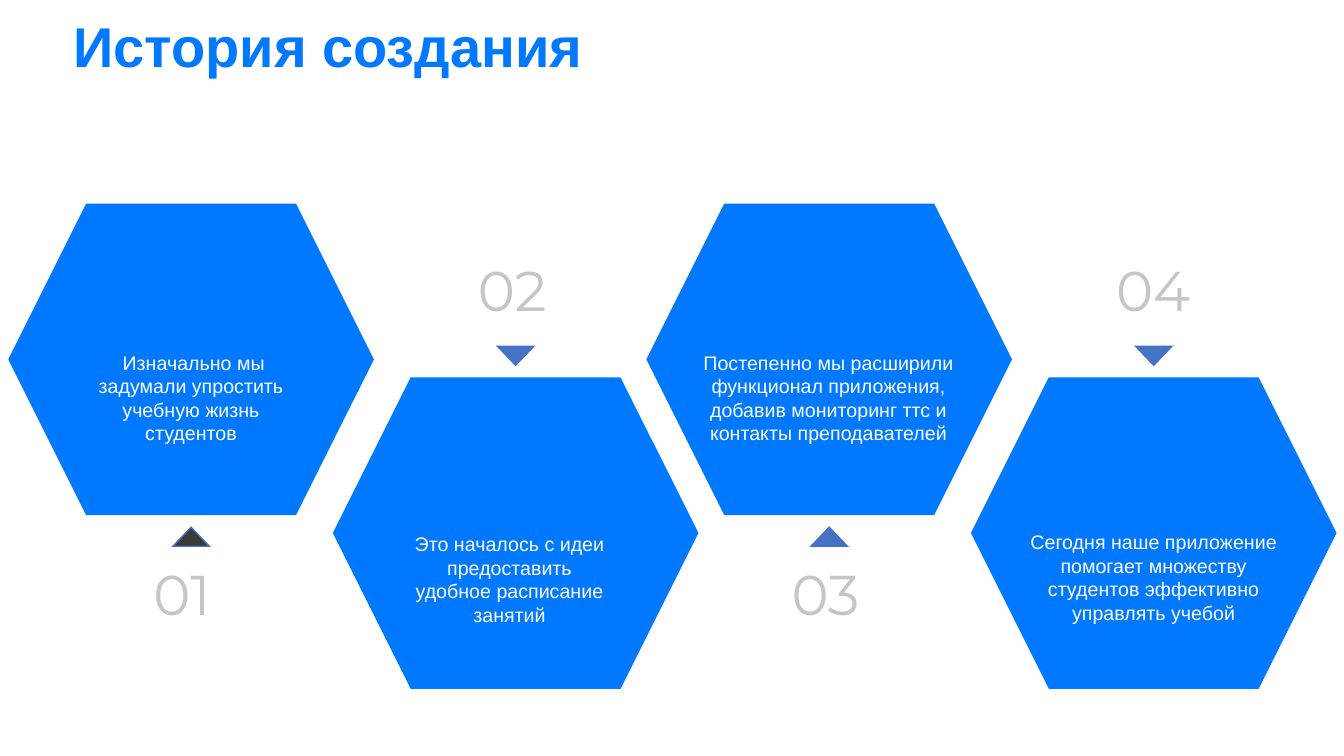
from lxml import etree
from pptx import Presentation
from pptx.dml.color import RGBColor
from pptx.enum.shapes import MSO_SHAPE
from pptx.enum.text import MSO_ANCHOR, PP_ALIGN
from pptx.oxml.ns import qn
from pptx.util import Pt

COLORS = {
    "blue": "0078FF",
    "accent": "4472C4",
    "dark": "3A3A3A",
    "number": "C5C5C5",
    "white": "FFFFFF",
}
HEX_W, HEX_H = 250, 212.5
UPPER_TOP, LOWER_TOP = 150.5, 274.5
FIRST_LEFT, PAIR_STEP, LOWER_SHIFT = 11.5, 455.8, 231.8
ARROW_W, ARROW_H, ARROW_GAP = 26, 13.6, 13.6
NUMBER_W, NUMBER_H, CAPTION_H = 78, 55.4, 75

STEPS = [
    ("01", " Изначально мы задумали упростить учебную жизнь студентов",
     (47.5, 96.5, 155), "dark"),
    ("02", "Это началось с идеи предоставить удобное расписание занятий",
     (41.8, 102, 157.7), "accent"),
    ("03", "Постепенно мы расширили функционал приложения, "
     "добавив мониторинг ттс и контакты преподавателей",
     (15.8, 96.5, 217.4), "accent"),
    ("04", "Сегодня наше приложение помогает множеству "
     "студентов эффективно управлять учебой",
     (17.3, 100.5, 215.3), "accent"),
]


def rgb(name):
    return RGBColor.from_string(COLORS[name])


def add_text(s, box, text, size, color, font="Arial", bold=False, align=PP_ALIGN.LEFT):
    tf = s.shapes.add_textbox(*map(Pt, box)).text_frame
    tf.word_wrap = True
    tf.vertical_anchor = MSO_ANCHOR.TOP
    tf.text = text
    p = tf.paragraphs[0]
    p.alignment = align
    r = p.runs[0]
    r.font.name = font
    r.font.size = Pt(size)
    r.font.bold = bold
    r.font.color.rgb = rgb(color)


def add_figure(s, kind, box, fill, line, width):
    sp = s.shapes.add_shape(kind, *map(Pt, box))
    sp.shadow.inherit = False
    sp.fill.solid()
    sp.fill.fore_color.rgb = rgb(fill)
    sp.line.color.rgb = rgb(line)
    sp.line.width = Pt(width)
    ln = sp.line._get_or_add_ln()
    etree.SubElement(ln, qn("a:miter")).set("lim", "800000")
    return sp


def add_title(s, box):
    add_text(s, box, "История создания", 40, "blue", bold=True)


def add_step(s, box, lower, number, caption, caption_box, arrow_fill):
    left, top, width, height = box
    dx, dy, caption_w = caption_box
    add_figure(s, MSO_SHAPE.HEXAGON, box, "blue", "blue", 10)

    arrow_top = top - ARROW_GAP - ARROW_H if lower else top + height + ARROW_GAP
    arrow_box = (left + (width - ARROW_W) / 2, arrow_top, ARROW_W, ARROW_H)
    arrow = add_figure(s, MSO_SHAPE.ISOSCELES_TRIANGLE, arrow_box, arrow_fill, "accent", 1)
    arrow.rotation = 180 if lower else 0

    add_text(s, (left + dx, top + dy, caption_w, CAPTION_H), caption, 14, "white",
             align=PP_ALIGN.CENTER)
    number_top = top - 95.2 if lower else top + height + 33
    add_text(s, (left + 91, number_top, NUMBER_W, NUMBER_H), number, 40, "number",
             font="Montserrat")


def main():
    prs = Presentation()
    prs.slide_width, prs.slide_height = Pt(960), Pt(540)
    s = prs.slides.add_slide(prs.slide_layouts[6])
    add_title(s, (45.4, 5, 399.6, 55.4))
    for i, (number, caption, caption_box, arrow_fill) in enumerate(STEPS):
        pair, lower = divmod(i, 2)
        left = FIRST_LEFT + pair * PAIR_STEP + lower * LOWER_SHIFT
        top = LOWER_TOP if lower else UPPER_TOP
        add_step(s, (left, top, HEX_W, HEX_H), lower, number, caption, caption_box, arrow_fill)
    prs.save("out.pptx")


if __name__ == "__main__":
    main()
